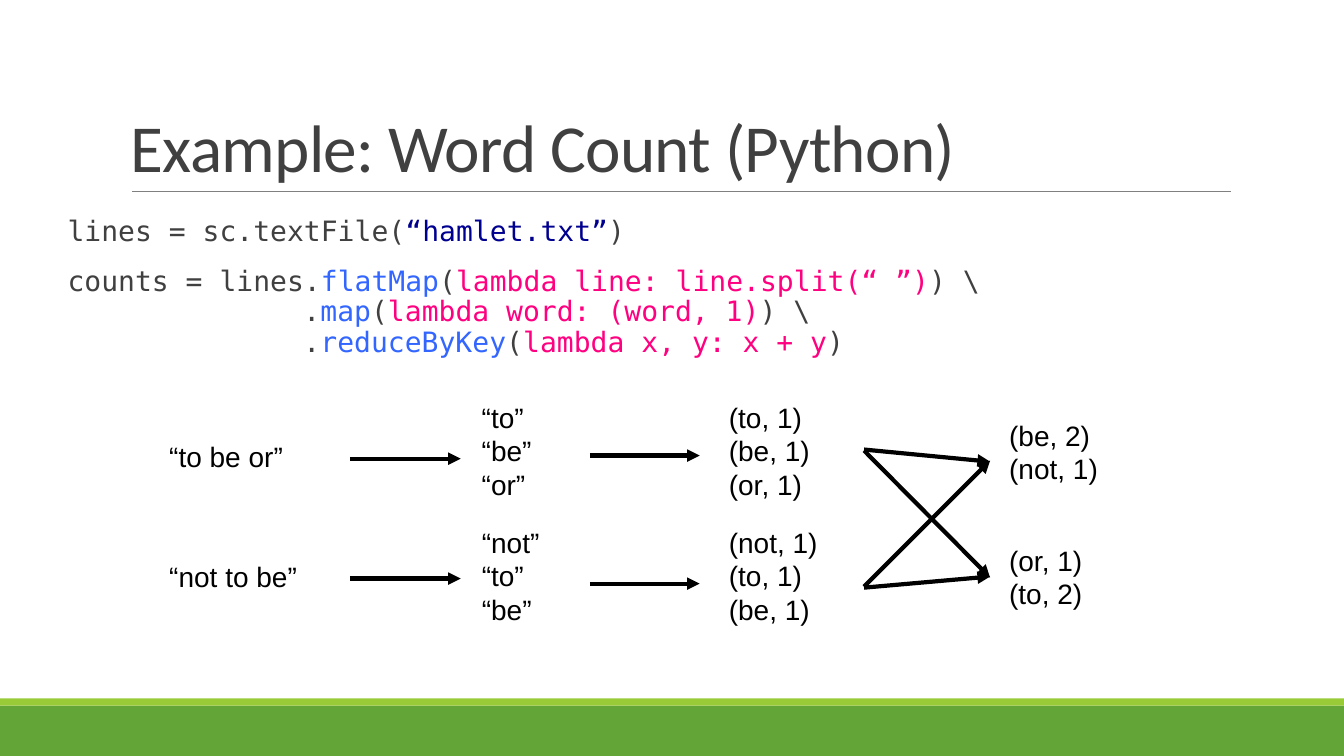
from dataclasses import dataclass

from lxml import etree
from pptx import Presentation
from pptx.dml.color import RGBColor
from pptx.enum.shapes import MSO_CONNECTOR, MSO_SHAPE
from pptx.enum.text import MSO_ANCHOR, MSO_AUTO_SIZE
from pptx.oxml.ns import qn
from pptx.util import Emu, Pt

STRAIGHT = MSO_CONNECTOR.STRAIGHT
RECTANGLE = MSO_SHAPE.RECTANGLE
BOTTOM = MSO_ANCHOR.BOTTOM
GROW = MSO_AUTO_SIZE.SHAPE_TO_FIT_TEXT

EMU_PER_PX = 9144
PLAIN = "404040"
STRING = "000090"
METHOD = "3366FF"
LAMBDA = "FF0080"
BLACK = "000000"
CODE_INDENT = 234


@dataclass
class Band:
    top: int
    height: int
    color: str


@dataclass
class Label:
    left: int
    top: int
    width: int
    height: int
    text: str


@dataclass
class Line:
    x1: int
    y1: int
    x2: int
    y2: int
    color: str = BLACK
    weight: float = 3
    arrow: bool = True


@dataclass
class Token:
    text: str
    color: str = PLAIN


BANDS = [Band(700, 50, "63A537"), Band(693, 7, "99CB38")]

FILE_LINE = [[Token("lines = sc.textFile("), Token("“hamlet.txt”", STRING), Token(")")]]
COUNT_LINES = [
    [Token("counts = lines."), Token("flatMap", METHOD), Token("("),
     Token("lambda line: line.split(“ ”)", LAMBDA), Token(") \\")],
    [Token("."), Token("map", METHOD), Token("("),
     Token("lambda word: (word, 1)", LAMBDA), Token(") \\")],
    [Token("."), Token("reduceByKey", METHOD), Token("("),
     Token("lambda x, y: x + y", LAMBDA), Token(")")],
]

LABELS = [
    Label(158, 431, 134, 44, "“to be or”"),
    Label(158, 550, 148, 44, "“not to be”"),
    Label(468, 392, 70, 111, "“to”\v“be”\v“or”"),
    Label(468, 516, 78, 111, "“not”\v“to”\v“be”"),
    Label(713, 392, 101, 111, "(to, 1)\v(be, 1)\v(or, 1)"),
    Label(713, 516, 109, 111, "(not, 1)\v(to, 1)\v(be, 1)"),
    Label(991, 410, 109, 77, "(be, 2)\v(not, 1)"),
    Label(991, 534, 93, 77, "(or, 1)\n(to, 2)"),
]

TITLE_RULE = Line(131, 190, 1221, 190, "808080", 0.5, False)
ARROWS = [
    Line(347, 455, 457, 455),
    Line(347, 574, 457, 574),
    Line(585, 452, 694, 452),
    Line(585, 579, 694, 579),
    Line(857, 447, 982, 573),
    Line(857, 446, 982, 458),
    Line(857, 582, 982, 457),
    Line(857, 583, 982, 572),
]


def px(value: int) -> Emu:
    return Emu(value * EMU_PER_PX)


def rgb(color: str) -> RGBColor:
    return RGBColor.from_string(color)


def style_run(run, font: str, size: int, color: str) -> None:
    run.font.name = font
    run.font.size = Pt(size)
    run.font.color.rgb = rgb(color)


def add_box(page, left: int, top: int, width: int, height: int):
    box = page.shapes.add_textbox(px(left), px(top), px(width), px(height))
    box.text_frame.word_wrap = True
    return box


def add_band(page, band: Band) -> None:
    shape = page.shapes.add_shape(RECTANGLE, 0, px(band.top), px(1333), px(band.height))
    shape.shadow.inherit = False
    shape.fill.solid()
    shape.fill.fore_color.rgb = rgb(band.color)
    shape.line.fill.background()


def add_line(page, line: Line) -> None:
    connector = page.shapes.add_connector(
        STRAIGHT, px(line.x1), px(line.y1), px(line.x2), px(line.y2))
    connector.line.color.rgb = rgb(line.color)
    connector.line.width = Pt(line.weight)
    if line.arrow:
        outline = connector.line._get_or_add_ln()
        etree.SubElement(outline, qn("a:tailEnd"), type="triangle")
    etree.SubElement(connector._element.spPr, qn("a:effectLst"))


def add_title(page, text: str) -> None:
    frame = add_box(page, 120, 31, 1100, 159).text_frame
    frame.vertical_anchor = BOTTOM
    frame.text = text
    para = frame.paragraphs[0]
    para.line_spacing = 0.85
    run = para.runs[0]
    style_run(run, "Calibri", 48, PLAIN)
    run.font._element.set("spc", "-50")


def add_statement(para, lines: list[list[Token]]) -> None:
    para.line_spacing = 0.9
    para.space_before = Pt(12)
    para.space_after = Pt(2)
    properties = para._p.get_or_add_pPr()
    properties.set("marL", str(px(CODE_INDENT)))
    properties.set("indent", str(px(-CODE_INDENT)))
    for number, tokens in enumerate(lines):
        if number:
            para.add_line_break()
        for token in tokens:
            run = para.add_run()
            run.text = token.text
            style_run(run, "DejaVu Sans Mono", 20, token.color)


def add_code(page) -> None:
    frame = add_box(page, 67, 211, 1200, 283).text_frame
    frame.margin_left = frame.margin_right = 0
    add_statement(frame.paragraphs[0], FILE_LINE)
    add_statement(frame.add_paragraph(), COUNT_LINES)


def add_label(page, label: Label) -> None:
    frame = add_box(page, label.left, label.top, label.width, label.height).text_frame
    frame.word_wrap = False
    frame.auto_size = GROW
    frame.text = label.text
    for para in frame.paragraphs:
        for run in para.runs:
            style_run(run, "Arial", 20, BLACK)


def main() -> None:
    deck = Presentation()
    deck.slide_width, deck.slide_height = px(1333), px(750)
    page = deck.slides.add_slide(deck.slide_layouts[6])
    for band in BANDS:
        add_band(page, band)
    add_line(page, TITLE_RULE)
    add_title(page, "Example: Word Count (Python)")
    add_code(page)
    for label in LABELS:
        add_label(page, label)
    for arrow in ARROWS:
        add_line(page, arrow)
    deck.save("out.pptx")


if __name__ == "__main__":
    main()
